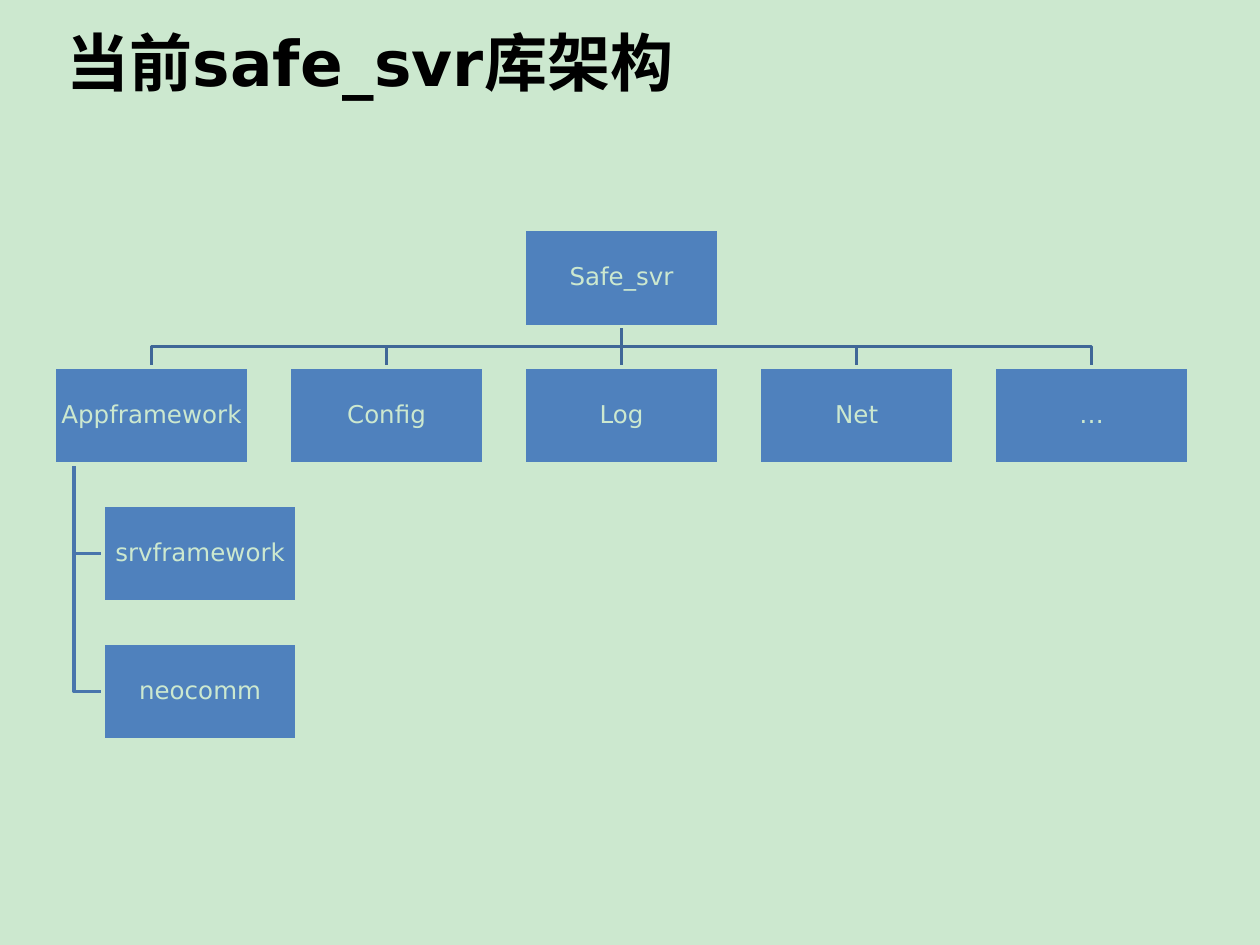
from pptx import Presentation
from pptx.dml.color import RGBColor
from pptx.enum.shapes import MSO_CONNECTOR, MSO_SHAPE
from pptx.enum.text import MSO_ANCHOR, PP_ALIGN
from pptx.oxml.ns import qn
from pptx.util import Pt

TITLE = "当前safe_svr库架构"
ROOT = "Safe_svr"
MODULES = ["Appframework", "Config", "Log", "Net", "…"]
SUBMODULES = ["srvframework", "neocomm"]

FONT = "DejaVu Sans"
COLORS = {
    "paper": "CCE8CF",
    "title": "000000",
    "box": "4F81BD",
    "branch": "3F6797",
    "twig": "4875AC",
}
LEFT, TOP = 31.1, 131
BOX_W, BOX_H = 111, 55.5
COL_STEP, ROW_STEP = 134.3, 78.8
INDENT, TRUNK = 27.8, 11.1


def color(key):
    return RGBColor.from_string(COLORS[key])


def style_text(shape, size, key, bold=False):
    font = shape.text_frame.paragraphs[0].runs[0].font
    font.name, font.size, font.bold = FONT, Pt(size), bold
    font.color.rgb = color(key)


def add_box(slide, label, x, row):
    box = slide.shapes.add_shape(
        MSO_SHAPE.RECTANGLE, Pt(x), Pt(TOP + row * ROW_STEP), Pt(BOX_W), Pt(BOX_H))
    box.shadow.inherit = False
    box.fill.solid()
    box.fill.fore_color.rgb = color("box")
    box.line.color.rgb = color("paper")
    box.line.width = Pt(2)
    frame = box.text_frame
    frame.text = label
    frame.word_wrap = True
    frame.vertical_anchor = MSO_ANCHOR.MIDDLE
    frame.margin_left = frame.margin_right = Pt(0.7)
    frame.margin_top = frame.margin_bottom = Pt(0.7)
    frame.paragraphs[0].alignment = PP_ALIGN.CENTER
    frame.paragraphs[0].line_spacing = 0.9
    style_text(box, 14, "paper")
    return box


def send_back(slide, link, key):
    link.line.color.rgb = color(key)
    link.line.width = Pt(2)
    slide.shapes._spTree.insert(2, link._element)


def add_path(slide, points, key):
    builder = slide.shapes.build_freeform(*points[0])
    builder.add_line_segments(points[1:], close=False)
    path = builder.convert_to_shape()
    path.shadow.inherit = False
    path.fill.background()
    send_back(slide, path, key)


def add_straight(slide, parent, child, key):
    line = slide.shapes.add_connector(MSO_CONNECTOR.STRAIGHT, 0, 0, 0, 0)
    line.begin_connect(parent, 2)
    line.end_connect(child, 0)
    properties = line._element.spPr
    send_back(slide, line, key)
    properties.append(properties.makeelement(qn("a:effectLst"), {}))


def main():
    """Build the library architecture chart."""
    prs = Presentation()
    prs.slide_width, prs.slide_height = Pt(720), Pt(540)
    slide = prs.slides.add_slide(prs.slide_layouts[5])
    slide.background.fill.solid()
    slide.background.fill.fore_color.rgb = color("paper")

    title = slide.shapes.title
    title.left, title.top, title.width, title.height = Pt(31), Pt(9.4), Pt(561.6), Pt(51)
    title.text_frame.text = TITLE
    title.text_frame.vertical_anchor = MSO_ANCHOR.MIDDLE
    title.text_frame.paragraphs[0].alignment = PP_ALIGN.LEFT
    style_text(title, 36, "title", bold=True)

    middle = len(MODULES) // 2
    root = add_box(slide, ROOT, LEFT + middle * COL_STEP, 0)
    modules = [add_box(slide, label, LEFT + column * COL_STEP, 1)
               for column, label in enumerate(MODULES)]
    submodules = [add_box(slide, label, LEFT + INDENT, row)
                  for row, label in enumerate(SUBMODULES, 2)]

    root_x, root_bottom = root.left + root.width // 2, root.top + root.height
    for column, module in enumerate(modules):
        if column == middle:
            add_straight(slide, root, module, "branch")
            continue
        module_x = module.left + module.width // 2
        bus_y = (root_bottom + module.top) // 2
        add_path(slide, [(root_x, root_bottom), (root_x, bus_y),
                         (module_x, bus_y), (module_x, module.top)], "branch")

    parent = modules[0]
    trunk_x = parent.left + Pt(TRUNK)
    for submodule in submodules:
        submodule_y = submodule.top + submodule.height // 2
        add_path(slide, [(trunk_x, parent.top + parent.height),
                         (trunk_x, submodule_y), (submodule.left, submodule_y)], "twig")

    prs.save("out.pptx")


if __name__ == "__main__":
    main()
